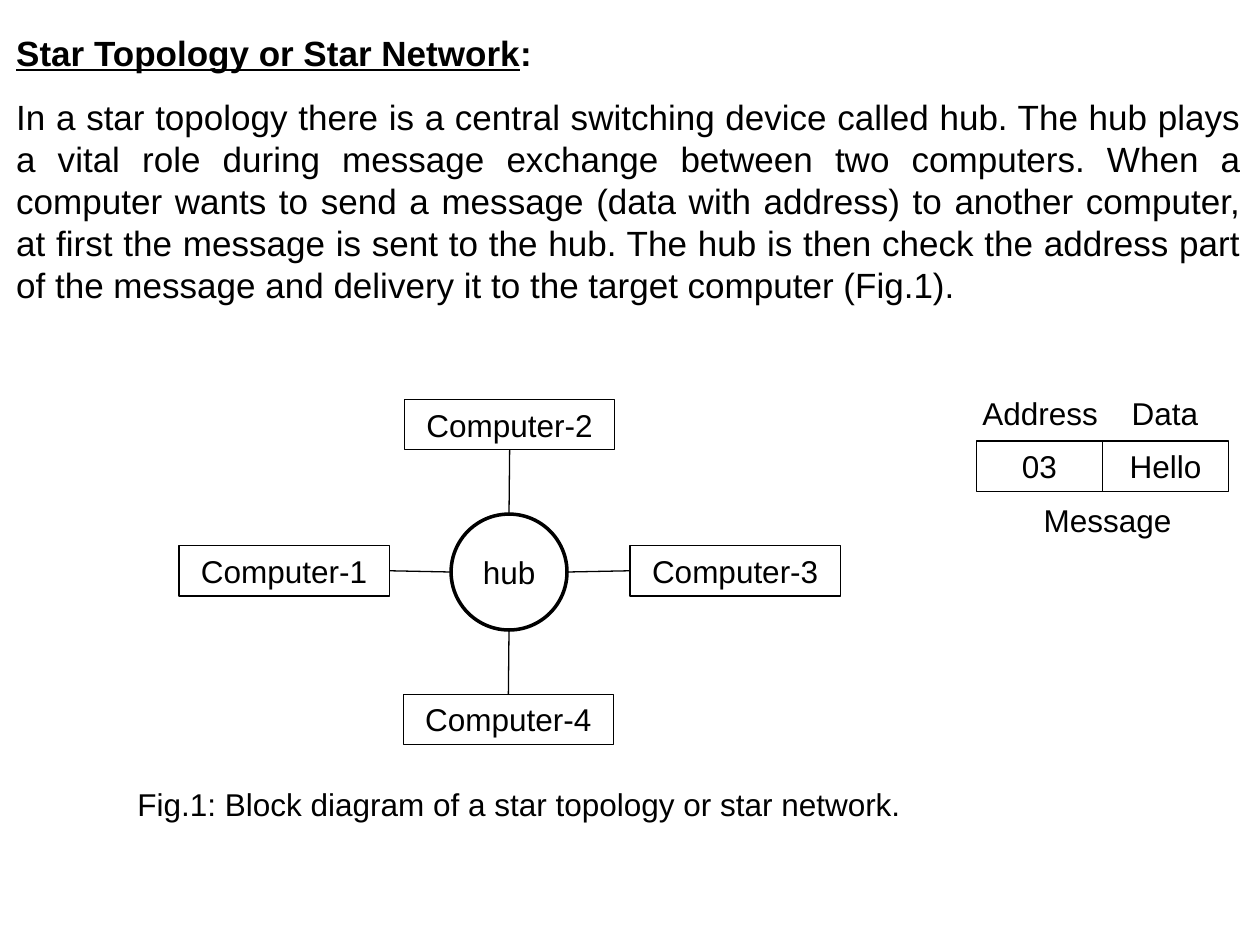
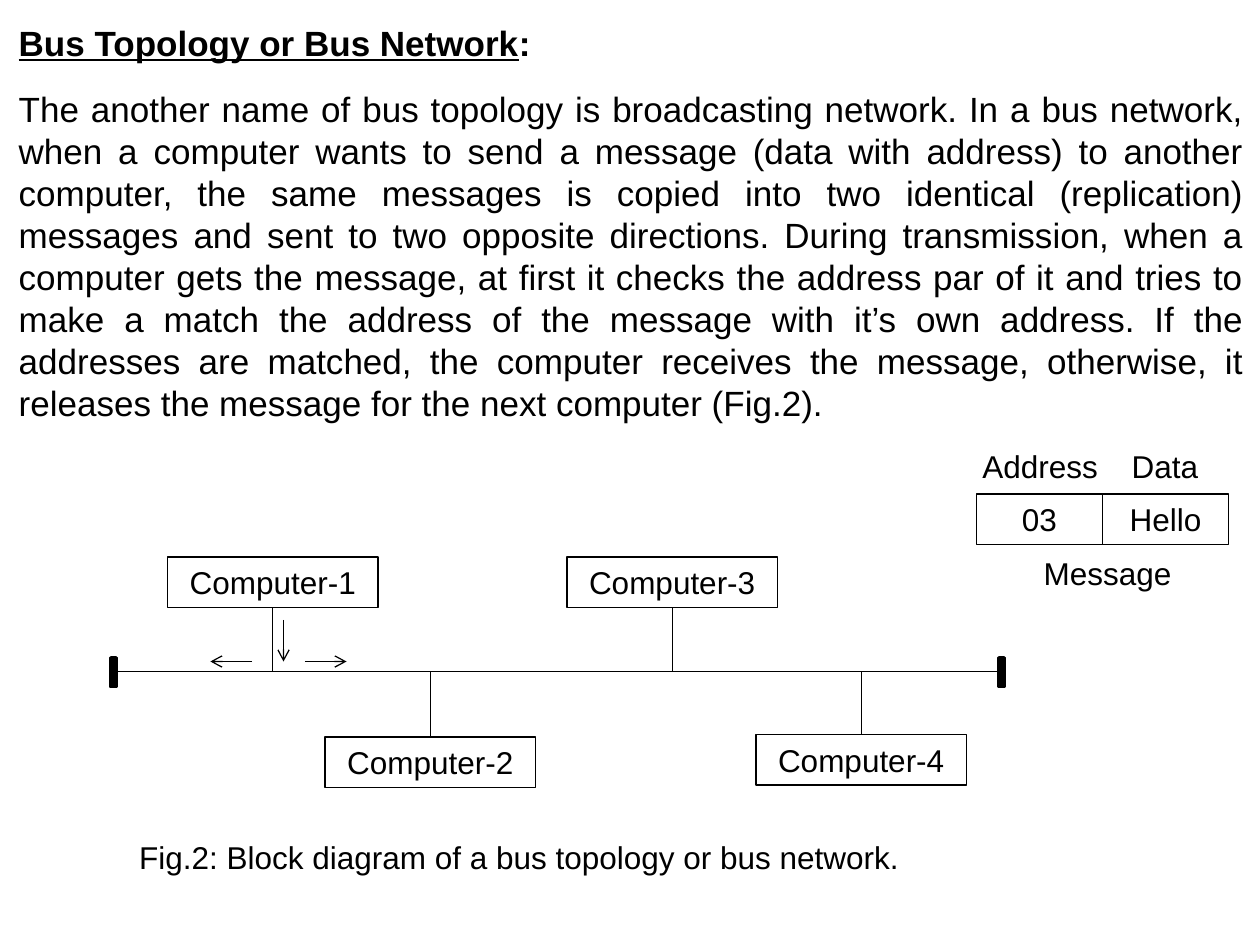
from lxml import etree
from pptx import Presentation
from pptx.dml.color import RGBColor
from pptx.enum.shapes import MSO_CONNECTOR, MSO_SHAPE
from pptx.enum.text import MSO_ANCHOR, PP_ALIGN
from pptx.oxml.ns import qn
from pptx.util import Inches, Pt

RECTANGLE, OVAL = MSO_SHAPE.RECTANGLE, MSO_SHAPE.OVAL
STRAIGHT = MSO_CONNECTOR.STRAIGHT
TOP, MIDDLE = MSO_ANCHOR.TOP, MSO_ANCHOR.MIDDLE
CENTER, JUSTIFY = PP_ALIGN.CENTER, PP_ALIGN.JUSTIFY
TOP_SIDE, LEFT_SIDE, BOTTOM_SIDE, RIGHT_SIDE = range(4)

BOX_WIDTH, BOX_HEIGHT = 1.67, 0.4
CELL_WIDTH = 1

STAR_TEXT = (
    "In a star topology there is a central switching device called hub. The hub plays a vital role "
    "during message exchange between two computers. When a computer wants to send a message (data "
    "with address) to another computer, at first the message is sent to the hub. The hub is then "
    "check the address part of the message and delivery it to the target computer (Fig.1)."
)
BUS_TEXT = (
    "The another name of bus topology is broadcasting network. In a bus network, when a computer "
    "wants to send a message (data with address) to another computer, the same messages is copied "
    "into two identical (replication) messages and sent to two opposite directions. During "
    "transmission, when a computer gets the message, at first it checks the address par of it and "
    "tries to make a match the address of the message with it’s own address. If the addresses are "
    "matched, the computer receives the message, otherwise, it releases the message for the next "
    "computer (Fig.2)."
)


def color(hex_string):
    return RGBColor.from_string(hex_string)


class TopologyDeck:
    """Holds the shared style and the slide being drawn; lengths are in inches."""

    font_name = "Arial"
    ink = "000000"
    body_size, label_size = 20, 18
    thin, thick = 0.75, 2

    def __init__(self):
        self.deck = Presentation()
        self.deck.slide_width, self.deck.slide_height = Inches(10), Inches(7.5)
        self.page = None

    def new_page(self):
        self.page = self.deck.slides.add_slide(self.deck.slide_layouts[6])

    def style_font(self, font, size):
        font.name, font.size = self.font_name, Pt(size)
        font.color.rgb = color(self.ink)

    def write_label(self, shape, text, anchor=TOP, wrap=True):
        frame = shape.text_frame
        frame.text = text
        frame.word_wrap, frame.vertical_anchor = wrap, anchor
        para = frame.paragraphs[0]
        para.alignment = CENTER
        self.style_font(para.runs[0].font, self.label_size)

    def label(self, text, left, top, width):
        box = self.page.shapes.add_textbox(*map(Inches, (left, top, width, BOX_HEIGHT)))
        self.write_label(box, text)

    def shape(self, kind, left, top, width, height, line_width, fill=None):
        shape = self.page.shapes.add_shape(kind, *map(Inches, (left, top, width, height)))
        shape.shadow.inherit = False
        if fill:
            shape.fill.solid()
            shape.fill.fore_color.rgb = color(fill)
        else:
            shape.fill.background()
        shape.line.color.rgb = color(self.ink)
        shape.line.width = Pt(line_width)
        return shape

    def box(self, text, left, top, width=BOX_WIDTH):
        box = self.shape(RECTANGLE, left, top, width, BOX_HEIGHT, self.thin)
        self.write_label(box, text)
        return box

    def line(self, start, end, arrow=False):
        line = self.page.shapes.add_connector(STRAIGHT, *map(Inches, (*start, *end)))
        line.line.color.rgb = color(self.ink)
        line.line.width = Pt(self.thin)
        properties = line._element.spPr
        if arrow:
            etree.SubElement(properties.find(qn("a:ln")), qn("a:tailEnd"), type="arrow")
        etree.SubElement(properties, qn("a:effectLst"))
        return line

    def link(self, box, side, end):
        """Joins the middle of a side of the box to a point."""
        self.line(end, end).begin_connect(box, side)

    def explanation(self, title, text, left, top, height, gap):
        box = self.page.shapes.add_textbox(*map(Inches, (left, top, 9.92, height)))
        frame = box.text_frame
        frame.word_wrap, frame.vertical_anchor = True, MIDDLE
        heading, body = frame.paragraphs[0], frame.add_paragraph()
        for part in (title, ":"):
            span = heading.add_run()
            span.text = part
            span.font.bold = True
            span.font.underline = part == title
        body.text = text
        body.space_before = Pt(gap)
        for para in (heading, body):
            para.alignment = JUSTIFY
            for span in para.runs:
                self.style_font(span.font, self.body_size)

    def caption(self, text, top):
        self.label(text, 0.83, top, 6.58)

    def message(self, top):
        """Draws the message format: an address cell and a data cell with labels."""
        self.label("Address", 7.67, top, 1.17)
        self.label("Data", 8.83, top, 0.83)
        for column, value in enumerate(("03", "Hello")):
            self.box(value, 7.75 + column * CELL_WIDTH, top + 0.42, CELL_WIDTH)
        self.label("Message", 8.08, top + 0.85, 1.42)


def draw_star(deck):
    deck.new_page()
    deck.explanation("Star Topology or Star Network", STAR_TEXT, 0.03, 0.17, 2.33, 12.5)
    center_x, center_y, radius = 4.04, 4.54, 0.46
    hub = deck.shape(OVAL, center_x - radius, center_y - radius, 2 * radius, 2 * radius, deck.thick)
    deck.write_label(hub, "hub", MIDDLE, wrap=False)
    computers = [
        (1.42, 4.33, RIGHT_SIDE, (center_x - radius, center_y)),
        (3.21, 3.17, BOTTOM_SIDE, (center_x, center_y - radius)),
        (5, 4.33, LEFT_SIDE, (center_x + radius, center_y)),
        (3.2, 5.51, TOP_SIDE, (center_x, center_y + radius)),
    ]
    for number, (left, top, side, hub_point) in enumerate(computers, 1):
        computer = deck.box(f"Computer-{number}", left, top)
        deck.link(computer, side, hub_point)
    deck.caption("Fig.1: Block diagram of a star topology or star network.", 6.18)
    deck.message(3.08)


def draw_bus(deck):
    deck.new_page()
    deck.explanation("Bus Topology or Bus Network", BUS_TEXT, 0.05, 0.03, 3.47, 13.5)
    bus_y = 5.33
    deck.line((0.92, bus_y), (7.92, bus_y))
    for left in (0.88, 7.93):
        deck.shape(RECTANGLE, left, 5.22, 0.04, 0.23, deck.thick, deck.ink)
    computers = [(1.33, 4.42), (2.58, 5.85), (4.5, 4.42), (6, 5.83)]
    for number, (left, top) in enumerate(computers, 1):
        computer = deck.box(f"Computer-{number}", left, top)
        side = BOTTOM_SIDE if top < bus_y else TOP_SIDE
        deck.link(computer, side, (left + BOX_WIDTH / 2, bus_y))
    arrows = [((2.25, 4.92), (2.25, 5.25)), ((2.42, 5.25), (2.75, 5.25)), ((2, 5.25), (1.67, 5.25))]
    for start, end in arrows:
        deck.line(start, end, arrow=True)
    deck.caption("Fig.2: Block diagram of a bus topology or bus network.", 6.6)
    deck.message(3.5)


def main():
    topologies = TopologyDeck()
    draw_star(topologies)
    draw_bus(topologies)
    topologies.deck.save("out.pptx")


if __name__ == "__main__":
    main()
